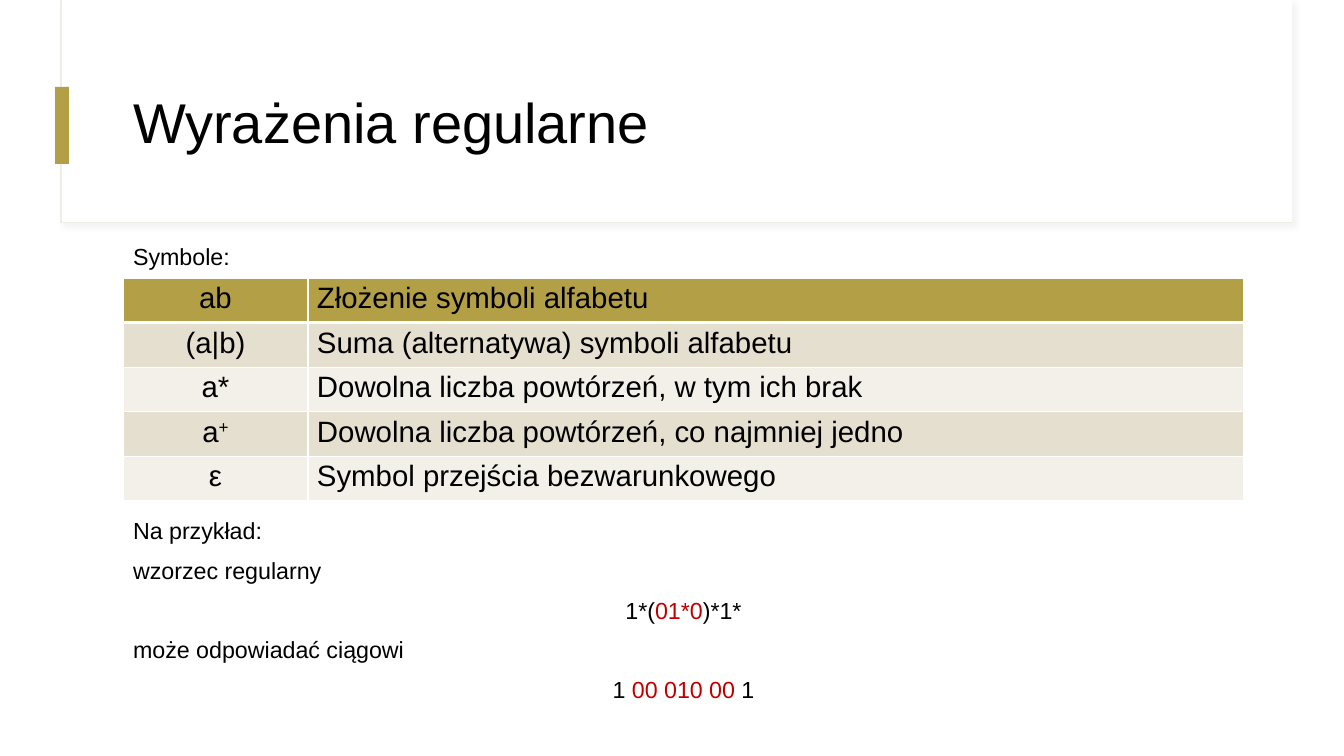
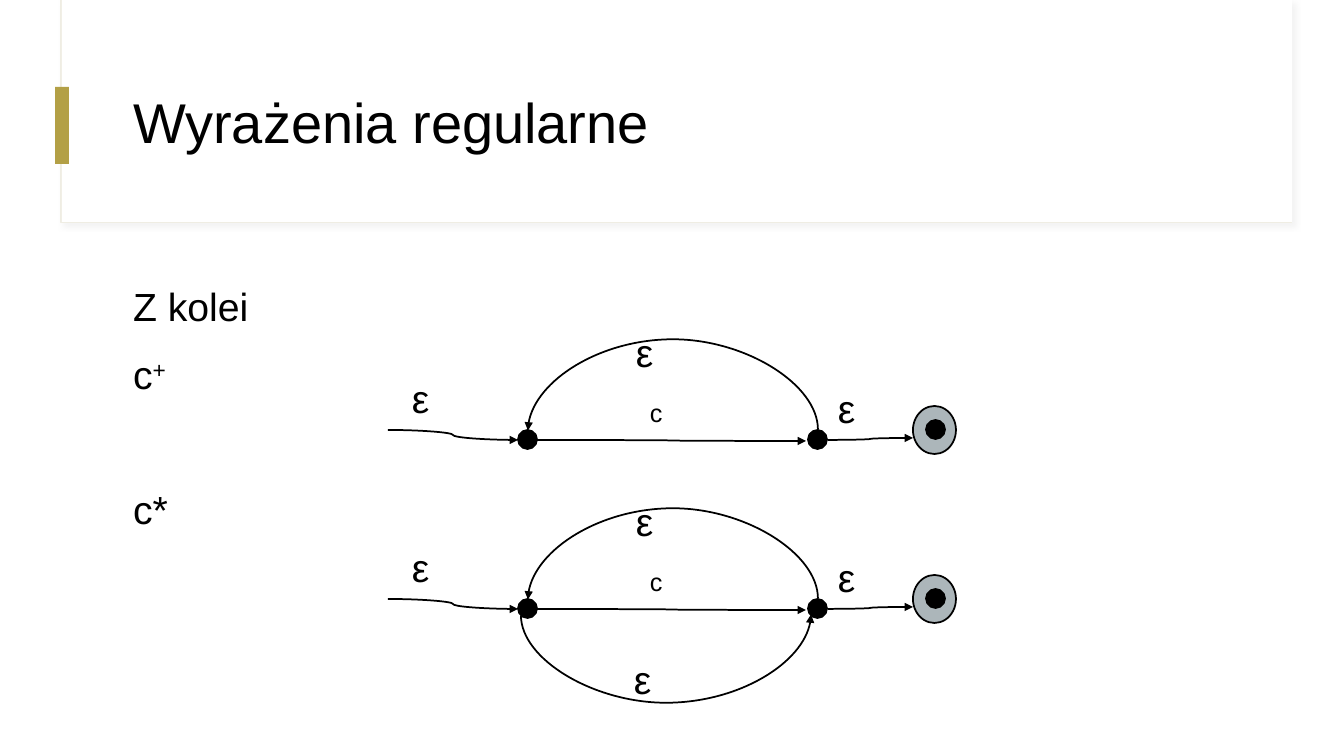
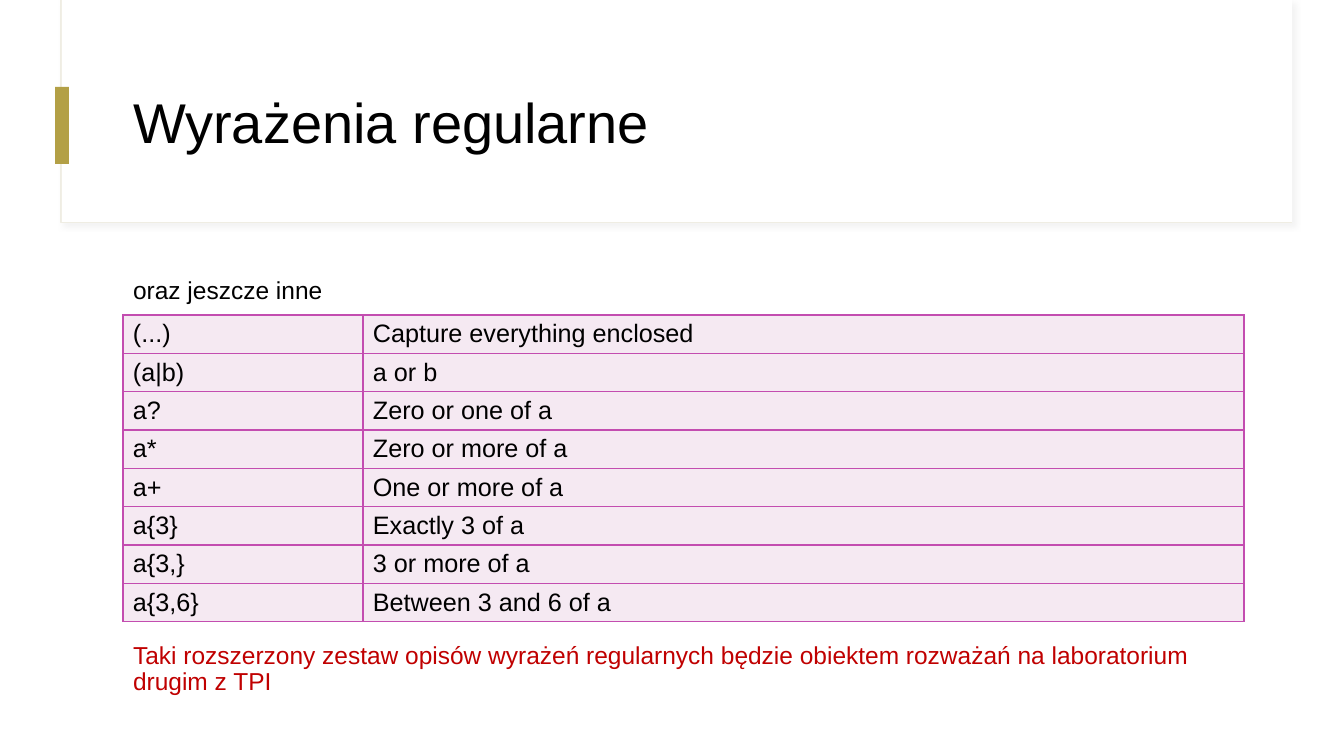
from lxml import etree
from pptx import Presentation
from pptx.dml.color import RGBColor
from pptx.enum.shapes import MSO_CONNECTOR, MSO_SHAPE
from pptx.enum.text import MSO_ANCHOR, MSO_AUTO_SIZE, PP_ALIGN
from pptx.oxml.ns import qn
from pptx.util import Pt

EMU_PER_PX = 914400 / 100.8
SLIDE_SIZE = (1344, 756)
FONT = "Arial"
COLORS = {
    "text": "000000", "accent": "C00000", "background": "FFFFFF",
    "gold": "B3A046", "frame": "EFEDE3", "shadow": "D9D9D9",
    "band_dark": "E5DFCF", "band_light": "F2F0E9",
    "pink": "F5E9F2", "magenta": "C34DB0", "final_state": "ACB6BA",
}
RECTANGLE = MSO_SHAPE.RECTANGLE
STATE = MSO_SHAPE.FLOWCHART_CONNECTOR
CURVE = MSO_CONNECTOR.CURVE
LEFT, CENTER, JUSTIFY = PP_ALIGN.LEFT, PP_ALIGN.CENTER, PP_ALIGN.JUSTIFY
TOP, MIDDLE = MSO_ANCHOR.TOP, MSO_ANCHOR.MIDDLE

TITLE = "Wyrażenia regularne"
TITLE_SIZE = 40
TITLE_BOX = (123, 60, 1121, 130)
CONTENT_LEFT, CONTENT_WIDTH = 123, 1121

# A paragraph is (runs, alignment, points before); a run is (text, style).
SYMBOLS_BODY = {
    "top": 240, "height": 475, "size": 16.6, "line_spacing": 0.9,
    "paragraphs": [
        ([("Symbole:", "plain")], JUSTIFY, 10),
        ([("Na przykład:", "plain")], JUSTIFY, 178),
        ([("wzorzec regularny", "plain")], JUSTIFY, 10.5),
        ([("1*(", "plain"), ("01*0", "accent"), (")*1*", "plain")], CENTER, 10.5),
        ([("może odpowiadać ciągowi", "plain")], JUSTIFY, 10.5),
        ([("1 ", "plain"), ("00 010 00 ", "accent"), ("1", "plain")], CENTER, 10.5),
    ],
}
SYMBOLS_TABLE = {
    "top": 278, "height": 223, "columns": (185, 936), "size": 21,
    "margins": (9, 4), "alignments": (CENTER, LEFT), "anchor": TOP,
    "fills": ["gold", "band_dark", "band_light", "band_dark", "band_light"],
    "border": "background", "header_border": 3,
    "rows": [
        ([("ab", "plain")], "Złożenie symboli alfabetu"),
        ([("(a|b)", "plain")], "Suma (alternatywa) symboli alfabetu"),
        ([("a*", "plain")], "Dowolna liczba powtórzeń, w tym ich brak"),
        ([("a", "plain"), ("+", "superscript")],
         "Dowolna liczba powtórzeń, co najmniej jedno"),
        ([("ε", "plain")], "Symbol przejścia bezwarunkowego"),
    ],
}

CLOSURE_BODY = {
    "top": 273, "height": 407, "size": 28, "line_spacing": 1.1,
    "paragraphs": [
        ([("Z kolei", "plain")], JUSTIFY, 10),
        ([("c", "plain"), ("+", "superscript")], JUSTIFY, 11.5),
        ([("c*", "plain")], JUSTIFY, 59),
    ],
}
# Automaton parts, placed as in the upper diagram.
AUTOMATON_STEP = 169
STATES = {
    "start": ((518, 430, 19, 19), "text"),
    "end": ((808, 430, 19, 19), "text"),
    "final": ((913, 406, 43, 48), "final_state"),
    "final_core": ((926, 420, 19, 19), "text"),
}
TRANSITIONS = [(388, 430, 518, 440), (535, 440, 806, 441), (828, 440, 913, 438)]
LABELS = [("c", 18, (640, 392, 46, 50)), ("ε", 28, (402, 369, 80, 73)),
          ("ε", 28, (828, 379, 80, 73)), ("ε", 28, (626, 323, 80, 73))]
SKIP_LABEL = ("ε", 28, (624, 481, 80, 73))
# Arcs: joined states and site, middle of the chord, its span, bulge, rotation.
REPEAT_ARC = {"ends": ("end", "start"), "site": 0, "middle": (673, 430),
              "span": 290, "bulge": 91, "rotation": 270}
SKIP_ARC = {"ends": ("start", "end"), "site": 3, "middle": (666, 446),
            "span": 290, "bulge": 88, "rotation": 90}

OTHERS_BODY = {
    "top": 273, "height": 455, "size": 17.5, "line_spacing": 0.9,
    "paragraphs": [
        ([("oraz jeszcze inne", "plain")], LEFT, 10),
        ([("Taki rozszerzony zestaw opisów wyrażeń regularnych będzie obiektem "
           "rozważań na laboratorium drugim z TPI", "accent")], LEFT, 242),
    ],
}
OTHERS_TABLE = {
    "top": 315, "height": 307, "columns": (240, 881), "size": 18,
    "margins": (10, 4), "alignments": (LEFT, LEFT), "anchor": MIDDLE,
    "fills": ["pink"] * 8, "border": "magenta", "header_border": 1,
    "rows": [([(symbol, "plain")], meaning) for symbol, meaning in [
        ("(...)", "Capture everything enclosed"),
        ("(a|b)", "a or b"),
        ("a?", "Zero or one of a"),
        ("a*", "Zero or more of a"),
        ("a+", "One or more of a"),
        ("a{3}", "Exactly 3 of a"),
        ("a{3,}", "3 or more of a"),
        ("a{3,6}", "Between 3 and 6 of a"),
    ]],
}


def px(*lengths):
    return [round(length * EMU_PER_PX) for length in lengths]


def color(name):
    return RGBColor.from_string(COLORS[name])


def add_xml(parent, tag, **attributes):
    return etree.SubElement(parent, qn(tag), attributes)


def place(shape, box):
    shape.left, shape.top, shape.width, shape.height = px(*box)


def add_runs(paragraph, runs, size):
    for text, style in runs:
        run = paragraph.add_run()
        run.text = text
        run.font.name = FONT
        run.font.size = Pt(size)
        run.font.color.rgb = color("accent" if style == "accent" else "text")
        if style == "superscript":
            run.font._element.set("baseline", "30000")


def add_filled_shape(slide, preset, box, fill, line=None, line_width=1.25):
    shape = slide.shapes.add_shape(preset, *px(*box))
    shape.shadow.inherit = False
    shape.fill.solid()
    shape.fill.fore_color.rgb = color(fill)
    if line:
        shape.line.color.rgb = color(line)
        shape.line.width = Pt(line_width)
    else:
        shape.line.fill.background()
    return shape


def set_up_layout(layout, slide):
    """Give the layout the header band and the placeholder style."""
    frame = add_filled_shape(slide, RECTANGLE, (61, 0, 1231, 223),
                             "background", "frame", 0.75)
    effects = frame.element.spPr.find(qn("a:effectLst"))
    shadow = add_xml(effects, "a:outerShdw", blurRad="50800", dist="38100",
                     dir="2700000", algn="tl", rotWithShape="0")
    shade = add_xml(shadow, "a:srgbClr", val=COLORS["shadow"])
    add_xml(shade, "a:alpha", val="30000")
    header = add_filled_shape(slide, RECTANGLE, (62, 0, 1230, 222), "background")
    marker = add_filled_shape(slide, RECTANGLE, (55, 87, 14, 77), "gold")
    for index, shape in enumerate((frame, header, marker)):
        shape.element.nvSpPr.cNvPr.set("id", str(20 + index))
        layout.shapes.element.insert(2 + index, shape.element)

    title, body = layout.placeholders[0], layout.placeholders[1]
    place(title, TITLE_BOX)
    for placeholder in (title, body):
        list_style = placeholder.text_frame._txBody.find(qn("a:lstStyle"))
        level = add_xml(list_style, "a:lvl1pPr", marL="0", indent="0", algn="l")
        add_xml(level, "a:buNone")


def fill_placeholders(slide, body):
    title_frame = slide.shapes.title.text_frame
    title_frame.auto_size = MSO_AUTO_SIZE.NONE
    title_frame.vertical_anchor = MIDDLE
    title_frame.paragraphs[0].line_spacing = 0.9
    add_runs(title_frame.paragraphs[0], [(TITLE, "plain")], TITLE_SIZE)

    placeholder = slide.placeholders[1]
    place(placeholder, (CONTENT_LEFT, body["top"], CONTENT_WIDTH, body["height"]))
    text_frame = placeholder.text_frame
    text_frame.auto_size = MSO_AUTO_SIZE.NONE
    for index, (runs, alignment, space) in enumerate(body["paragraphs"]):
        paragraph = text_frame.add_paragraph() if index else text_frame.paragraphs[0]
        paragraph.alignment = alignment
        paragraph.line_spacing = body["line_spacing"]
        paragraph.space_before = Pt(space)
        add_runs(paragraph, runs, body["size"])


def set_borders(cell, name, top, bottom):
    properties = cell._tc.get_or_add_tcPr()
    for side, width in (("L", 1), ("R", 1), ("T", top), ("B", bottom)):
        line = add_xml(properties, f"a:ln{side}", w=str(Pt(width)))
        add_xml(add_xml(line, "a:solidFill"), "a:srgbClr", val=COLORS[name])


def add_text_table(slide, content):
    rows, columns = content["rows"], content["columns"]
    box = px(CONTENT_LEFT, content["top"], CONTENT_WIDTH, content["height"])
    table = slide.shapes.add_table(len(rows), len(columns), *box).table
    table.first_row = table.horz_banding = False
    for column, width in zip(table.columns, px(*columns)):
        column.width = width
    row_height, = px(content["height"] / len(rows))
    side_margin, end_margin = px(*content["margins"])
    for row_index, (symbol, meaning) in enumerate(rows):
        table.rows[row_index].height = row_height
        top = content["header_border"] if row_index == 1 else 1
        bottom = content["header_border"] if row_index == 0 else 1
        for column_index, runs in enumerate((symbol, [(meaning, "plain")])):
            cell = table.cell(row_index, column_index)
            set_borders(cell, content["border"], top, bottom)
            cell.fill.solid()
            cell.fill.fore_color.rgb = color(content["fills"][row_index])
            cell.margin_left = cell.margin_right = side_margin
            cell.margin_top = cell.margin_bottom = end_margin
            cell.vertical_anchor = content["anchor"]
            paragraph = cell.text_frame.paragraphs[0]
            paragraph.alignment = content["alignments"][column_index]
            add_runs(paragraph, runs, content["size"])


def add_arrow(slide, ends):
    arrow = slide.shapes.add_connector(CURVE, *px(*ends))
    arrow.line.color.rgb = color("text")
    arrow.line.width = Pt(1.25)
    add_xml(arrow.line._get_or_add_ln(), "a:tailEnd", type="triangle")
    add_xml(arrow.element.spPr, "a:effectLst")
    return arrow


def add_arc(slide, arc, states, offset):
    """Join two states by a curve whose one-pixel box is turned upright."""
    arrow = add_arrow(slide, (0, 0, 1, 1))
    begin, end = (states[name] for name in arc["ends"])
    arrow.begin_connect(begin, arc["site"])
    arrow.end_connect(end, arc["site"])
    x, y = arc["middle"]
    place(arrow, (x - 0.5, y + offset - arc["span"] / 2, 1, arc["span"]))
    properties = arrow.element.spPr
    transform = properties.find(qn("a:xfrm"))
    transform.set("rot", str(arc["rotation"] * 60000))
    transform.set("flipH", "1")
    transform.set("flipV", "1")
    adjustments = properties.find(qn("a:prstGeom")).find(qn("a:avLst"))
    add_xml(adjustments, "a:gd", name="adj1", fmla=f"val {-arc['bulge'] * 100000}")


def add_label(slide, text, size, box, offset):
    left, top, width, height = box
    label = slide.shapes.add_textbox(*px(left, top + offset, width, height))
    label.text_frame.word_wrap = True
    add_runs(label.text_frame.paragraphs[0], [(text, "plain")], size)


def add_automaton(slide, offset, arcs, labels):
    states = {}
    for name, ((left, top, width, height), fill) in STATES.items():
        box = (left, top + offset, width, height)
        states[name] = add_filled_shape(slide, STATE, box, fill, "text")
    for x1, y1, x2, y2 in TRANSITIONS:
        add_arrow(slide, (x1, y1 + offset, x2, y2 + offset))
    for arc in arcs:
        add_arc(slide, arc, states, offset)
    for text, size, box in labels:
        add_label(slide, text, size, box, offset)


def main():
    presentation = Presentation()
    presentation.slide_width, presentation.slide_height = px(*SLIDE_SIZE)
    layout = presentation.slide_layouts[1]
    symbols, closures, others = [
        presentation.slides.add_slide(layout) for _ in range(3)]
    set_up_layout(layout, symbols)

    fill_placeholders(symbols, SYMBOLS_BODY)
    add_text_table(symbols, SYMBOLS_TABLE)

    fill_placeholders(closures, CLOSURE_BODY)
    add_automaton(closures, 0, [REPEAT_ARC], LABELS)
    add_automaton(closures, AUTOMATON_STEP, [REPEAT_ARC, SKIP_ARC],
                  LABELS + [SKIP_LABEL])

    fill_placeholders(others, OTHERS_BODY)
    add_text_table(others, OTHERS_TABLE)
    presentation.save("out.pptx")


if __name__ == "__main__":
    main()
